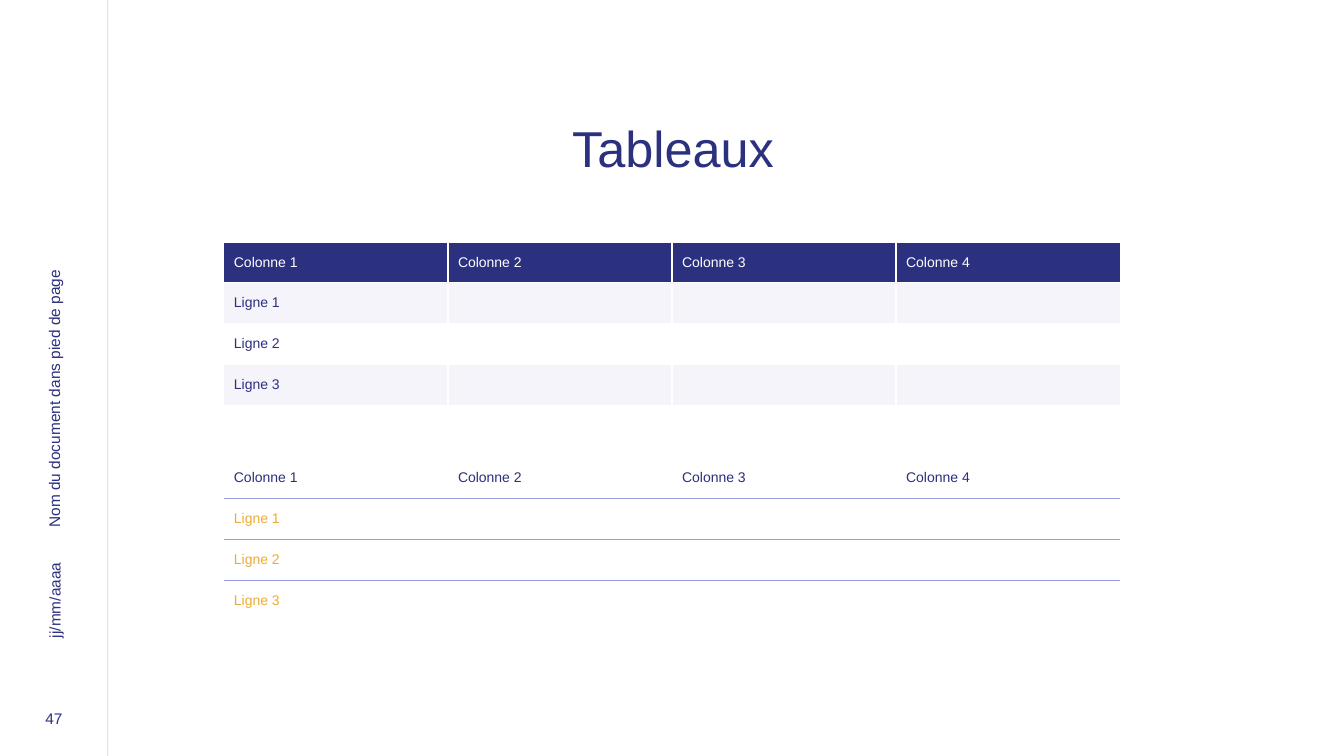
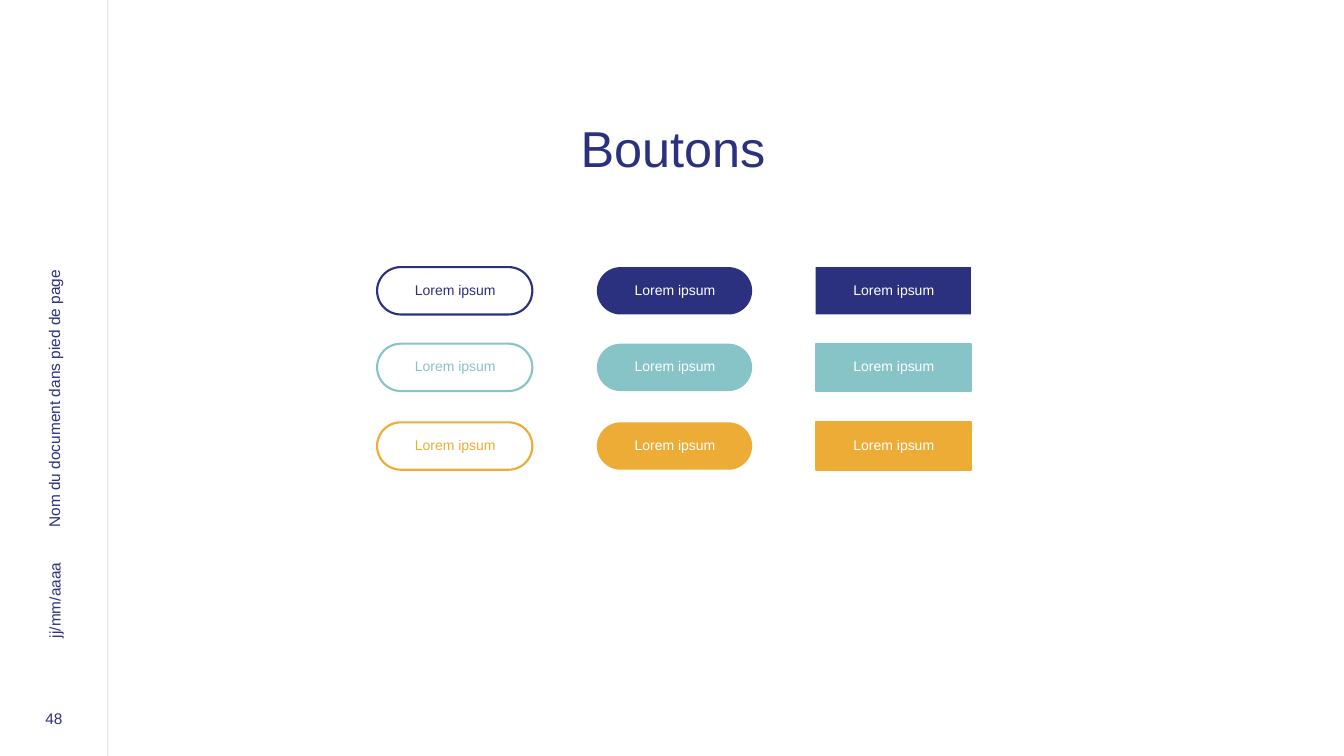
from lxml.etree import SubElement
from pptx import Presentation
from pptx.dml.color import RGBColor
from pptx.enum.shapes import MSO_CONNECTOR as Connector, MSO_SHAPE as Preset
from pptx.enum.text import MSO_ANCHOR as Anchor, PP_ALIGN as Align
from pptx.oxml.ns import qn
from pptx.util import Inches, Pt

NAVY = RGBColor(0x2B, 0x30, 0x7F)
TEAL = RGBColor(0x87, 0xC4, 0xC7)
GOLD = RGBColor(0xED, 0xAC, 0x35)
WHITE = RGBColor(0xFF, 0xFF, 0xFF)
BAND = RGBColor(0xF4, 0xF4, 0xFA)
RULE = RGBColor(0x99, 0x9D, 0xDD)

FONT = "Arial"
TITLE = {"size": Pt(36), "color": NAVY}
FOOTER = {"size": Pt(11), "color": NAVY}
BODY_SIZE = Pt(10)
NO_MARGINS = {f"margin_{side}": 0 for side in ("left", "top", "right", "bottom")}

HEADERS = [f"Colonne {number}" for number in range(1, 5)]
ROW_LABELS = [f"Ligne {number}" for number in range(1, 4)]


def set_all(target, values):
    for name, value in values.items():
        setattr(target, name, value)


def write(frame, text, style, align=Align.LEFT, spacing=None):
    para = frame.paragraphs[0]
    set_all(para, {"alignment": align, "line_spacing": spacing})
    span = para.add_run()
    span.text = text
    set_all(span.font, {"name": FONT, "size": style["size"], "bold": False})
    span.font.color.rgb = style["color"]


def add_text(page, box, text, style, align=Align.LEFT, spacing=None, rotation=0, **frame_format):
    holder = page.shapes.add_textbox(*map(Inches, box))
    holder.rotation = rotation
    set_all(holder.text_frame,
            {"word_wrap": True, "vertical_anchor": Anchor.MIDDLE, **frame_format})
    write(holder.text_frame, text, style, align, spacing)


def add_rounded(page, box, rounding, fill=None, edge=None):
    shape = page.shapes.add_shape(Preset.ROUNDED_RECTANGLE, *map(Inches, box))
    shape.shadow.inherit = False
    shape.adjustments[0] = rounding
    if fill is None:
        shape.fill.background()
    else:
        shape.fill.solid()
        shape.fill.fore_color.rgb = fill
    if edge is None:
        shape.line.fill.background()
    else:
        shape.line.color.rgb = edge
        shape.line.width = Pt(1.5)
    shape.text_frame.vertical_anchor = Anchor.MIDDLE
    return shape


# Thin, mostly transparent line beside the footers
def add_divider(page, left, height):
    divider = page.shapes.add_connector(
        Connector.STRAIGHT, Inches(left), 0, Inches(left), height)
    divider.line.color.rgb = NAVY
    divider.line.width = Pt(0.5)
    color = divider._element.spPr.find(".//" + qn("a:srgbClr"))
    SubElement(color, qn("a:alpha")).set("val", "20000")
    SubElement(divider._element.spPr, qn("a:effectLst"))


# Side band, footers and title shared by every slide
def add_page(deck, title, number):
    page = deck.slides.add_slide(deck.slide_layouts[6])
    number_box = add_rounded(page, (0.13, 6.96, 0.81, 0.3), 0.17)
    set_all(number_box.text_frame, {"word_wrap": False, **NO_MARGINS})
    write(number_box.text_frame, str(number), FOOTER, Align.CENTER, Pt(16))
    add_divider(page, 1.07, deck.slide_height)
    add_text(page, (2.04, 1.09, 9.27, 0.81), title, TITLE, Align.CENTER, 0.9)
    add_text(page, (-1.6, 2.99, 4.27, 0.3), "Nom du document dans pied de page", FOOTER,
             rotation=270, **{**NO_MARGINS, "margin_left": Inches(0.04)})
    add_text(page, (0.06, 5.7, 0.96, 0.3), "jj/mm/aaaa", FOOTER, rotation=270, **NO_MARGINS)
    return page


def set_borders(cell, borders):
    """Borders map L, R, T, B to (colour, points); a missing side has no line."""
    properties = cell._tc.get_or_add_tcPr()
    for side in "LRTB":
        border = SubElement(properties, qn(f"a:ln{side}"))
        if side in borders:
            color, width = borders[side]
            border.set("w", str(Pt(width)))
            fill = SubElement(border, qn("a:solidFill"))
            SubElement(fill, qn("a:srgbClr")).set("val", str(color))
        else:
            SubElement(border, qn("a:noFill"))


# Cell looks: text colour, fill (None for clear) and borders
def banded_look(row, last_row):
    borders = {side: (WHITE, 1) for side in "LRTB"}
    if row == 0:
        return WHITE, NAVY, borders
    return NAVY, BAND if row % 2 else WHITE, borders


def ruled_look(row, last_row):
    borders = {}
    if row > 0:
        borders["T"] = (RULE, 0.5)
    if row < last_row:
        borders["B"] = (RULE, 0.5)
    return GOLD if row else NAVY, None, borders


def add_grid(page, box, look):
    rows = [HEADERS] + [[label] + [""] * (len(HEADERS) - 1) for label in ROW_LABELS]
    table = page.shapes.add_table(len(rows), len(HEADERS), *map(Inches, box)).table
    set_all(table, {"first_row": False, "horz_banding": False})
    for row, texts in enumerate(rows):
        color, fill, borders = look(row, len(rows) - 1)
        for column, text in enumerate(texts):
            cell = table.cell(row, column)
            cell.vertical_anchor = Anchor.MIDDLE
            set_borders(cell, borders)
            if fill is None:
                cell.fill.background()
            else:
                cell.fill.solid()
                cell.fill.fore_color.rgb = fill
            if text:
                write(cell.text_frame, text, {"size": BODY_SIZE, "color": color})


# Button with its label box centred on it
def add_button(page, box, color, filled, rounding, edged):
    left, top, width, height = box
    add_rounded(page, box, rounding, color if filled else None, color if edged else None)
    label_box = (left + 0.16, top + 0.09, width - 0.31, height - 0.2)
    add_text(page, label_box, "Lorem ipsum",
             {"size": BODY_SIZE, "color": WHITE if filled else color}, Align.CENTER)


# Rows of one colour, columns of one style: left, filled, rounding, colours with an edge
def add_button_grid(page):
    rows = [(2.65, NAVY), (3.41, TEAL), (4.19, GOLD)]
    styles = [(3.74, False, 0.5, (NAVY, TEAL, GOLD)),
              (5.92, True, 0.5, ()),
              (8.09, True, 0, (TEAL, GOLD))]
    for top, color in rows:
        for left, filled, rounding, edges in styles:
            add_button(page, (left, top, 1.54, 0.47), color, filled, rounding, color in edges)


def main():
    deck = Presentation()
    set_all(deck, {"slide_width": Inches(13.33), "slide_height": Inches(7.5)})

    tables = add_page(deck, "Tableaux", 47)
    for top, look in ((2.4, banded_look), (4.54, ruled_look)):
        add_grid(tables, (2.22, top, 8.89, 1.62), look)

    buttons = add_page(deck, "Boutons", 48)
    add_button_grid(buttons)

    deck.save("out.pptx")


if __name__ == "__main__":
    main()
